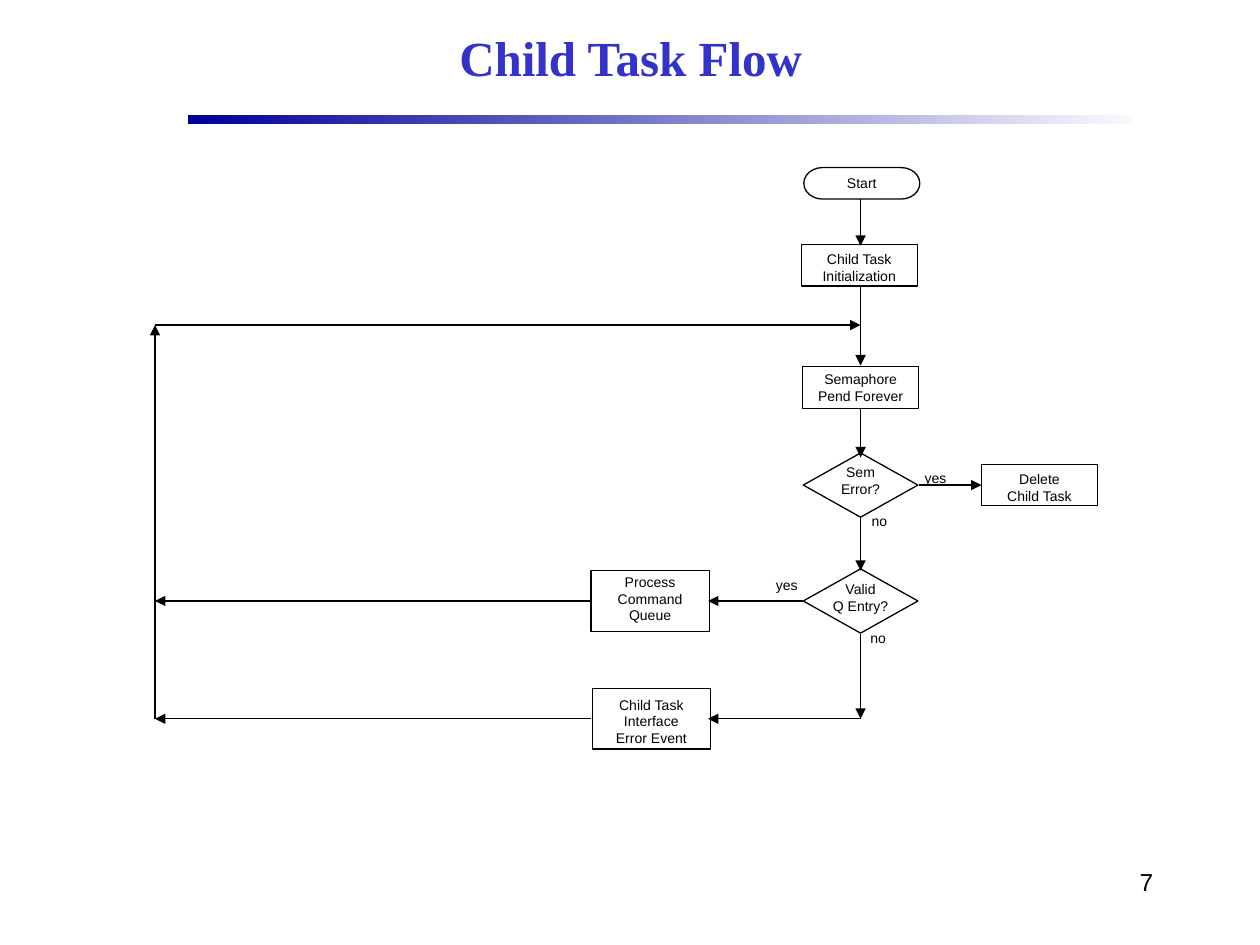
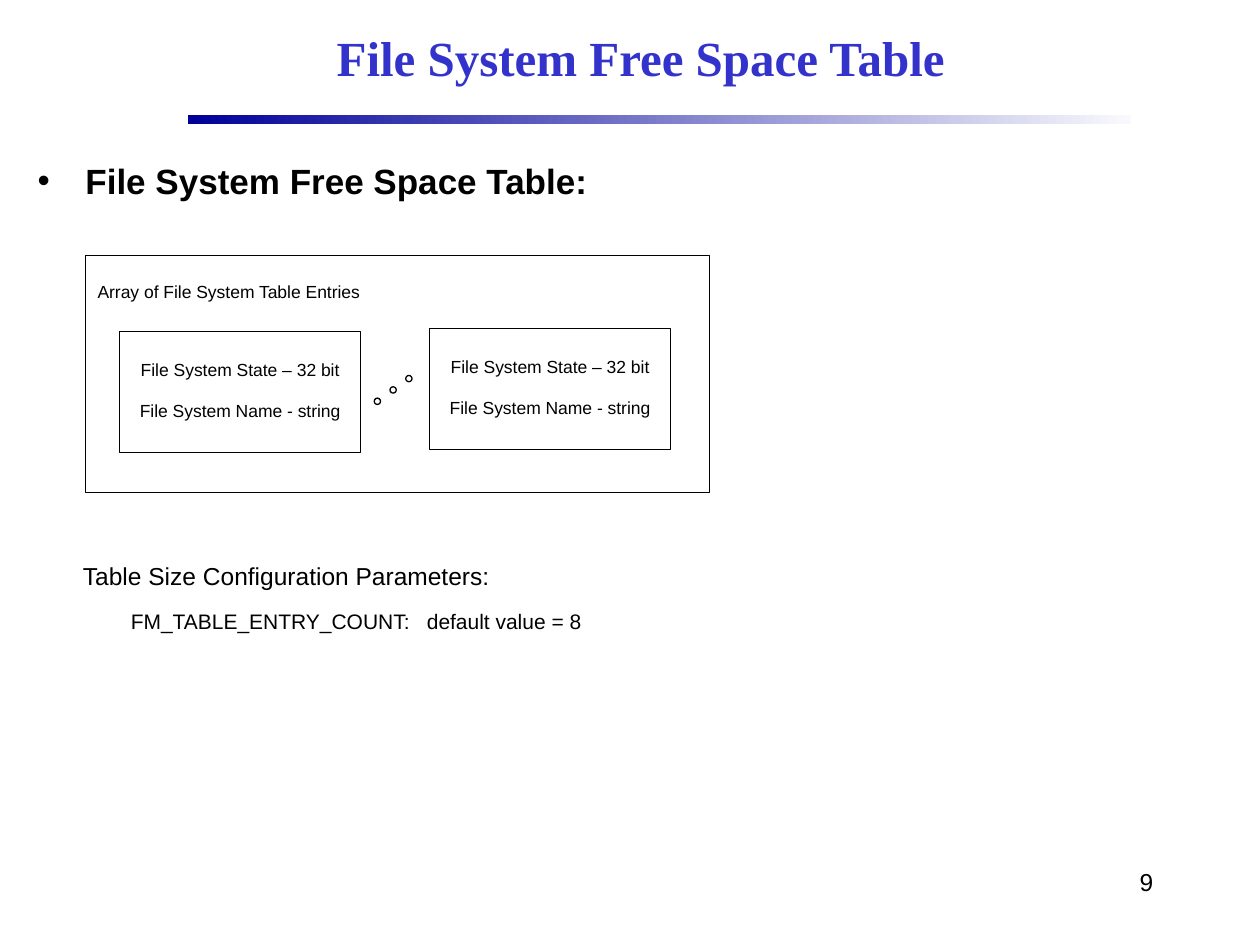
from dataclasses import dataclass

from lxml.etree import SubElement
from pptx import Presentation
from pptx.dml.color import RGBColor
from pptx.enum.shapes import MSO_CONNECTOR, MSO_SHAPE
from pptx.enum.text import MSO_ANCHOR, PP_ALIGN
from pptx.oxml.ns import qn
from pptx.util import Inches, Pt

# Grid: 100 columns by 75 rows, square cells
COLS, ROWS = 100, 75
CELL = 0.1

COLORS = {"title": "3333CC", "ink": "000000", "bar": "000099", "bar_end": "F9F9FD"}
BODY, HEAD = "Arial", "Times New Roman"
LINE_WIDTH = Pt(0.75)
LEFT, CENTER, RIGHT = PP_ALIGN.LEFT, PP_ALIGN.CENTER, PP_ALIGN.RIGHT
TOP, MIDDLE = MSO_ANCHOR.TOP, MSO_ANCHOR.MIDDLE


@dataclass(frozen=True)
class Kind:
    preset: MSO_SHAPE
    w: float
    h: float


TERMINATOR = Kind(MSO_SHAPE.FLOWCHART_TERMINATOR, 9.2, 2.5)
STEP = Kind(MSO_SHAPE.FLOWCHART_PROCESS, 9.2, 3.3)
BLOCK = Kind(MSO_SHAPE.FLOWCHART_PROCESS, 9.4, 4.8)
DECISION = Kind(MSO_SHAPE.FLOWCHART_DECISION, 9.1, 5.1)


@dataclass(frozen=True)
class Node:
    text: str
    kind: Kind
    cx: float
    cy: float
    drop: float = 0  # vertical offset of the text from the centre


@dataclass(frozen=True)
class Arrow:
    x1: float
    y1: float
    x2: float
    y2: float


@dataclass(frozen=True)
class Tag:
    text: str
    cx: float
    cy: float


def cells(*values: float) -> list[int]:
    return [Inches(v * CELL) for v in values]


def rgb(name: str) -> RGBColor:
    return RGBColor.from_string(COLORS[name])


def write(tf, text: str, *, size: float = 8, font: str = BODY, color: str = "ink",
          bold: bool = False, align=CENTER, anchor=TOP, gap: float = 0,
          insets=(1, 0.5, 1, 0.5), wrap: bool = True) -> None:
    """Write one paragraph per line of text; gap is the space between them."""
    tf.word_wrap = wrap
    tf.vertical_anchor = anchor
    tf.margin_left, tf.margin_top, tf.margin_right, tf.margin_bottom = cells(*insets)
    for i, line in enumerate(text.split("\n")):
        p = tf.paragraphs[0] if i == 0 else tf.add_paragraph()
        p.alignment = align
        p.space_before = Pt(gap if i else 0)
        r = p.add_run()
        r.text = line
        r.font.size, r.font.name, r.font.bold = Pt(size), font, bold
        r.font.color.rgb = rgb(color)


def add_text(s, x: float, y: float, w: float, h: float, text: str, **fmt):
    tf = s.shapes.add_textbox(*cells(x, y, w, h)).text_frame
    write(tf, text, **fmt)
    return tf


def add_outline(s, preset, x: float, y: float, w: float, h: float):
    sp = s.shapes.add_shape(preset, *cells(x, y, w, h))
    sp.shadow.inherit = False
    sp.fill.background()
    sp.line.color.rgb = rgb("ink")
    sp.line.width = LINE_WIDTH
    return sp


def add_node(s, n: Node) -> None:
    k = n.kind
    sp = add_outline(s, k.preset, n.cx - k.w / 2, n.cy - k.h / 2, k.w, k.h)
    insets = (0, max(0, 2 * n.drop), 0, max(0, -2 * n.drop))
    write(sp.text_frame, n.text, anchor=MIDDLE, insets=insets, wrap=False)


def add_arrow(s, a: Arrow) -> None:
    c = s.shapes.add_connector(MSO_CONNECTOR.STRAIGHT, *cells(a.x1, a.y1, a.x2, a.y2))
    c.line.color.rgb = rgb("ink")
    c.line.width = LINE_WIDTH
    SubElement(c.line._get_or_add_ln(), qn("a:tailEnd"), type="triangle")
    SubElement(c._element.spPr, qn("a:effectLst"))


def add_bullet(p, indent: float) -> None:
    pPr = p._p.get_or_add_pPr()
    pPr.set("marL", str(Inches(indent * CELL)))
    pPr.set("indent", str(-Inches(indent * CELL)))
    SubElement(pPr, qn("a:buFont"), typeface=BODY)
    SubElement(pPr, qn("a:buChar"), char="•")


def add_tabs(p, *stops: float) -> None:
    tabs = SubElement(p._p.get_or_add_pPr(), qn("a:tabLst"))
    for stop in cells(*stops):
        SubElement(tabs, qn("a:tab"), pos=str(stop), algn="l")


def add_slide(prs, title: str, number: int, title_x: float):
    """Blank slide with the shared bar, page number and title."""
    s = prs.slides.add_slide(prs.slide_layouts[6])
    bar = s.shapes.add_shape(MSO_SHAPE.RECTANGLE, *cells(14.9, 9.15, 74.9, 0.7))
    bar.shadow.inherit = False
    bar.line.fill.background()
    bar.fill.gradient()
    bar.fill.gradient_angle = 0
    for stop, name in zip(bar.fill.gradient_stops, ("bar", "bar_end")):
        stop.color.rgb = rgb(name)
        stop.position = 0 if name == "bar" else 1
    add_text(s, 71.7, 68.3, 20.8, 5, str(number), size=14, align=RIGHT)
    add_text(s, title_x, 0.8, 71.7, 7.5, title, size=28, font=HEAD, color="title",
             bold=True, anchor=MIDDLE)
    return s


def build_task_flow(prs) -> None:
    s = add_slide(prs, "Child Task Flow", 7, 14.2)
    spine, loop = 68.3, 12.3  # main column and return path
    block_left, block_right = 46.9, 56.2
    merge, sem, valid, error = 25.8, 38.5, 47.7, 57.05

    nodes = [
        Node("Start", TERMINATOR, 68.4, 14.55),
        Node("Child Task\nInitialization", STEP, 68.2, 21.05, 0.2),
        Node("Semaphore\nPend Forever", STEP, spine, 30.75),
        Node("Sem\nError?", DECISION, spine, sem, -0.4),
        Node("Valid\nQ Entry?", DECISION, spine, valid, -0.3),
        Node("Delete\nChild Task", STEP, 82.5, sem, 0.2),
        Node("Process\nCommand\nQueue", BLOCK, 51.6, valid, -0.2),
        Node("Child Task\nInterface\nError Event", BLOCK, 51.7, error, 0.2),
    ]
    arrows = [
        # Down the main column
        *(Arrow(spine, y1, spine, y2) for y1, y2 in
          [(15.8, 19.5), (22.8, 29), (32.4, 36.3), (41, 45.3), (50.3, error)]),
        # Branches
        Arrow(72.9, sem, 77.9, sem),
        Arrow(63.7, valid, block_right, valid),
        Arrow(spine, error, block_right, error),
        # Return path
        Arrow(block_left, valid, loop, valid),
        Arrow(block_left, error, loop, error),
        Arrow(loop, error, loop, merge),
        Arrow(loop, merge, spine, merge),
    ]
    tags = [Tag("yes", 74.25, 38), Tag("no", 69.8, 41.4),
            Tag("yes", 62.45, 46.5), Tag("no", 69.7, 50.7)]

    for n in nodes:
        add_node(s, n)
    for a in arrows:
        add_arrow(s, a)
    for t in tags:
        add_text(s, t.cx - 2, t.cy - 1.2, 4, 2.4, t.text)


def build_space_table(prs) -> None:
    s = add_slide(prs, "File System Free Space Table", 9, 15)
    tf = add_text(s, 2, 12.2, 47.6, 5.8, "File System Free Space Table:",
                  size=20, bold=True, align=LEFT)
    add_bullet(tf.paragraphs[0], 3.8)

    # Array frame with its first and last entries
    add_outline(s, MSO_SHAPE.RECTANGLE, 6.8, 20.3, 49.5, 18.8)
    add_text(s, 5.5, 21.8, 25.3, 2.7, "Array of File System Table Entries", size=10)
    for x, y in ((9.5, 26.3), (34.1, 26.1)):
        entry = add_outline(s, MSO_SHAPE.RECTANGLE, x, y, 19.1, 9.6)
        write(entry.text_frame, "File System State – 32 bit\nFile System Name - string",
              size=10, gap=11.5, anchor=MIDDLE, insets=(0, 0, 0, 0.3))

    # Rising dots between the entries
    for i in range(3):
        add_outline(s, MSO_SHAPE.OVAL, 29.7 + 1.25 * i, 31.6 - 0.9 * i, 0.5, 0.5)

    # Configuration parameters
    tf = add_text(s, 5.6, 44, 49.3, 8.7, "Table Size Configuration Parameters:\n"
                  "\tFM_TABLE_ENTRY_COUNT:\tdefault value = 8",
                  size=14, align=LEFT, gap=10.6)
    p = tf.paragraphs[1]
    p.runs[0].font.size = Pt(12)
    add_tabs(p, 3.8, 27.3)


def main() -> None:
    prs = Presentation()
    prs.slide_width, prs.slide_height = cells(COLS, ROWS)
    build_task_flow(prs)
    build_space_table(prs)
    prs.save("out.pptx")


if __name__ == "__main__":
    main()
